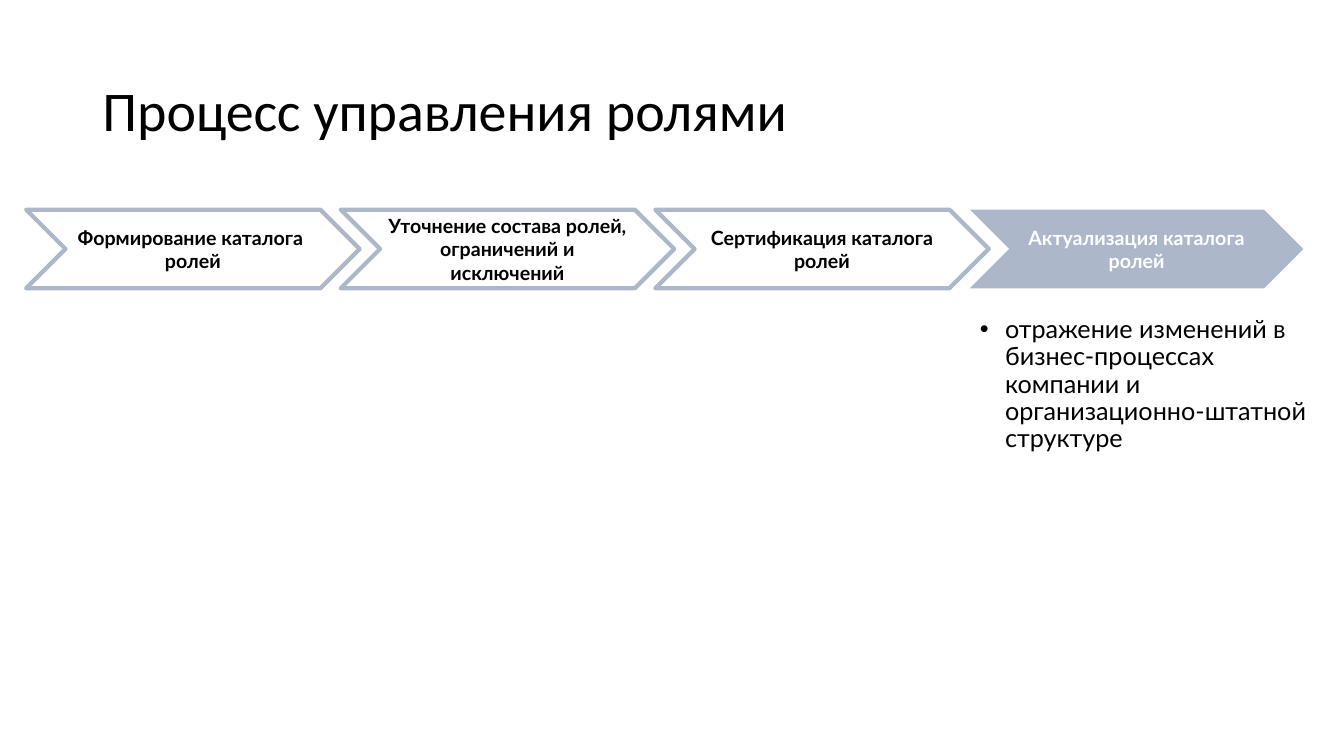
from dataclasses import dataclass

from lxml import etree
from pptx import Presentation
from pptx import util as u
from pptx.dml.color import RGBColor
from pptx.enum import shapes, text
from pptx.oxml.ns import qn


@dataclass(frozen=True)
class Theme:
    ink: str = "000000"
    paper: str = "FFFFFF"
    accent: str = "ACB8CA"
    title_font: str = "Calibri"
    body_font: str = "Lato"
    title_size: int = 40
    step_size: int = 14
    body_size: int = 18
    outline: int = 3


class SlideBuilder:
    """Places elements on a grid: one column per process step, short rows."""
    margin, column, row = 0.26, 3.12, 0.26  # inches

    def __init__(self, presentation, theme):
        self.theme = theme
        self.slide = presentation.slides.add_slide(presentation.slide_layouts[5])

    def box(self, column, row, columns, rows):
        return (u.Inches(self.margin + column * self.column), u.Inches(row * self.row),
                u.Inches(columns * self.column), u.Inches(rows * self.row))

    def set_text(self, shape, content, font, size, color, bold=False,
                 align=text.PP_ALIGN.LEFT, anchor=text.MSO_ANCHOR.MIDDLE, spacing=1.0):
        frame = shape.text_frame
        frame.text = content
        frame.word_wrap = True
        frame.auto_size = text.MSO_AUTO_SIZE.NONE
        frame.vertical_anchor = anchor
        paragraph = frame.paragraphs[0]
        paragraph.alignment = align
        paragraph.line_spacing = spacing
        for run in paragraph.runs:
            run.font.name, run.font.size, run.font.bold = font, u.Pt(size), bold
            run.font.color.rgb = RGBColor.from_string(color)
        return paragraph

    def title(self, content, *cells):
        shape = self.slide.shapes.title
        shape.left, shape.top, shape.width, shape.height = self.box(*cells)
        self.set_text(shape, content, self.theme.title_font, self.theme.title_size,
                      self.theme.ink, spacing=0.9)

    def step(self, content, current, *cells):
        theme = self.theme
        shape = self.slide.shapes.add_shape(shapes.MSO_SHAPE.CHEVRON, *self.box(*cells))
        shape.shadow.inherit = False
        accent = RGBColor.from_string(theme.accent)
        if current:
            shape.fill.solid()
            shape.fill.fore_color.rgb = accent
            shape.line.fill.background()
        else:
            shape.fill.background()
            shape.line.color.rgb = accent
            shape.line.width = u.Pt(theme.outline)
        frame = shape.text_frame
        frame.margin_left = frame.margin_right = u.Inches(0.04)
        self.set_text(shape, content, theme.body_font, theme.step_size,
                      theme.paper if current else theme.ink, bold=True,
                      align=text.PP_ALIGN.CENTER)

    def bullet(self, content, *cells):
        shape = self.slide.shapes.add_textbox(*self.box(*cells))
        paragraph = self.set_text(shape, content, self.theme.body_font,
                                  self.theme.body_size, self.theme.ink,
                                  anchor=text.MSO_ANCHOR.TOP, spacing=0.9)
        properties = paragraph._p.get_or_add_pPr()
        indent = u.Inches(0.25)
        properties.set("marL", str(indent))
        properties.set("indent", str(-indent))
        etree.SubElement(properties, qn("a:buFont")).set("typeface", "Arial")
        etree.SubElement(properties, qn("a:buChar")).set("char", "•")


STEPS = [
    "Формирование каталога  ролей",
    "Уточнение состава ролей, ограничений и исключений",
    "Сертификация каталога ролей",
    "Актуализация каталога ролей",
]

presentation = Presentation()
presentation.slide_width, presentation.slide_height = u.Inches(13.33), u.Inches(7.5)
builder = SlideBuilder(presentation, Theme())

# Title
builder.title("Процесс управления ролями", 0.21, 1.54, 3.69, 5.58)

# Process steps, the last one being current
current = len(STEPS) - 1
for column, label in enumerate(STEPS):
    builder.step(label, column == current, column, 8, 1.06, 3)

# Details of the current step
builder.bullet("отражение изменений в бизнес-процессах компании и "
               "организационно-штатной структуре", current, 11.9, 1.14, 6.25)

presentation.save("out.pptx")
